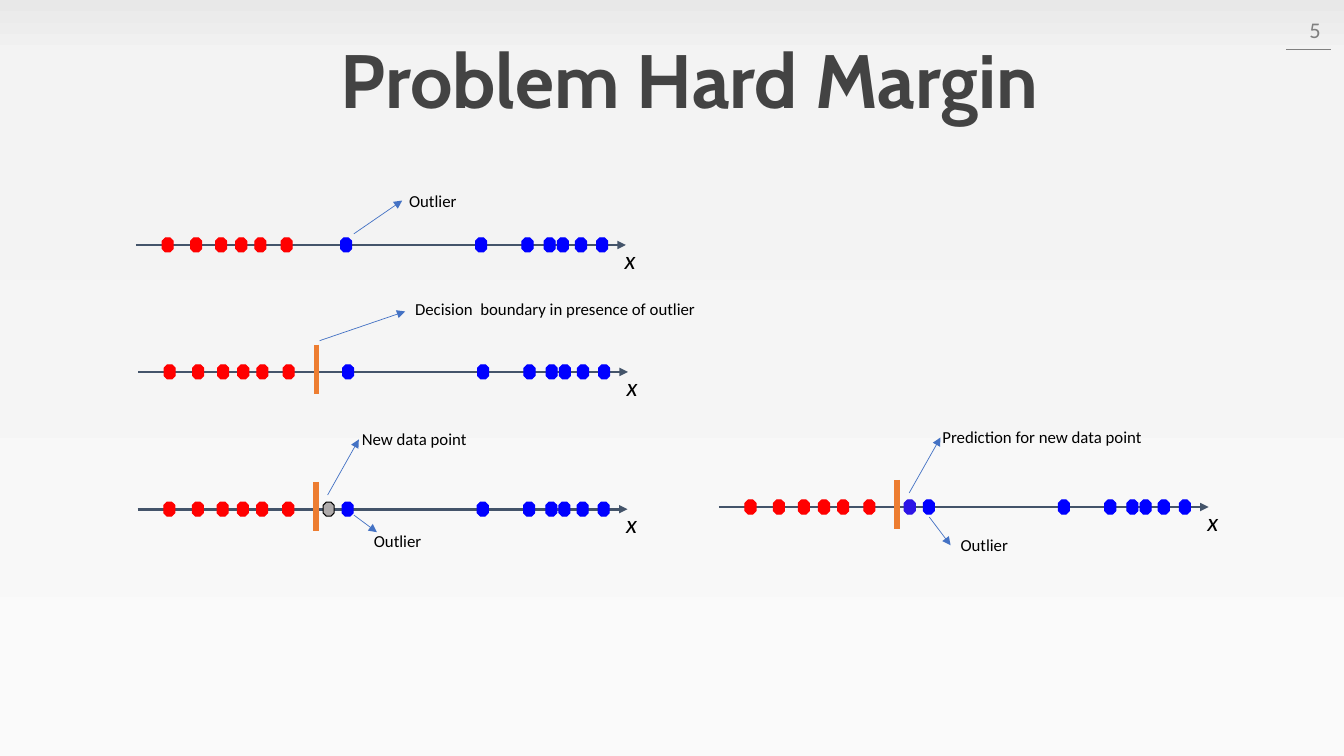
from lxml import etree
from pptx import Presentation
from pptx import util as u
from pptx.dml.color import RGBColor
from pptx.enum import shapes, text
from pptx.oxml.ns import qn

WIDTH, HEIGHT = u.Inches(13.33), u.Inches(7.5)
COLORS = {
    "title": "434343", "muted": "808080", "ink": "000000", "axis": "44546A",
    "red": "FF0000", "blue": "0000FF", "unknown": "AFABAB", "predicted": "2D14E6",
    "boundary": "ED7D31", "callout": "4472C4",
}
BACKDROP = [(0, "FAFAFA"), (84, "F3F3F3"), (94, "F0F0F0"), (100, "E8E8E8")]

# Positions are percentages of the slide; sample offsets start at the axis origin.
RED_SAMPLES = [2.36, 4.48, 6.33, 7.83, 9.26, 11.21]
BLUE_SAMPLES = [15.63, 25.68, 29.13, 30.78, 31.76, 33.11, 34.68]
AXIS_LENGTH, BOUNDARY_AT, NEW_POINT_AT = 36.45, 13.28, 14.21
DOT_WIDTH, DOT_HEIGHT = 0.82, 1.87


def across(share):
    return round(WIDTH * share / 100)


def down(share):
    return round(HEIGHT * share / 100)


def rgb(name):
    return RGBColor.from_string(COLORS[name])


def paint_background(slide):
    fill = slide.background.fill
    fill.gradient()
    fill.gradient_angle = 90
    stops = slide._element.find(".//" + qn("a:gsLst"))
    for stop in list(stops):
        stops.remove(stop)
    for position, color in BACKDROP:
        stop = etree.SubElement(stops, qn("a:gs"), pos=str(position * 1000))
        etree.SubElement(stop, qn("a:srgbClr"), val=color)


def style_font(paragraph, face, size, color, bold=False, italic=False):
    font = paragraph.font
    font.name, font.size = face, u.Pt(size)
    font.bold, font.italic = bold, italic
    font.color.rgb = rgb(color)


def add_title(slide, wording):
    title = slide.shapes.title
    title.left, title.top = across(1.95), down(3.07)
    title.width, title.height = across(100), down(16)
    frame = title.text_frame
    frame.text = wording
    frame.auto_size = text.MSO_AUTO_SIZE.NONE
    frame.vertical_anchor = text.MSO_ANCHOR.MIDDLE
    heading = frame.paragraphs[0]
    heading.alignment = text.PP_ALIGN.CENTER
    heading.line_spacing = 0.9
    style_font(heading, "Cabin", 54, "title", bold=True)


def add_label(slide, wording, x, y, width, height=4, size=12, color="ink", italic=False):
    label = slide.shapes.add_textbox(across(x), down(y), across(width), down(height))
    label.text_frame.word_wrap = True
    label.text_frame.text = wording
    style_font(label.text_frame.paragraphs[0], "Calibri", size, color, italic=italic)
    return label.text_frame


def add_line(slide, start, end, color, weight, arrow=False):
    line = slide.shapes.add_connector(
        shapes.MSO_CONNECTOR.STRAIGHT,
        across(start[0]), down(start[1]), across(end[0]), down(end[1]))
    line.line.color.rgb = rgb(color)
    line.line.width = u.Pt(weight)
    properties = line._element.spPr
    if arrow:
        etree.SubElement(properties.find(qn("a:ln")), qn("a:tailEnd"), type="triangle")
    etree.SubElement(properties, qn("a:effectLst"))


def add_sample(slide, x, y, color, outline=None):
    sample = slide.shapes.add_shape(
        shapes.MSO_SHAPE.OCTAGON, across(x - DOT_WIDTH / 2), down(y - DOT_HEIGHT / 2),
        across(DOT_WIDTH), down(DOT_HEIGHT))
    sample.shadow.inherit = False
    sample.fill.solid()
    sample.fill.fore_color.rgb = rgb(color)
    sample.line.color.rgb = rgb(outline or color)
    sample.line.width = u.Pt(0.75)


def add_number_line(slide, x, y, boundary=False, new_point=None):
    add_line(slide, (x, y), (x + AXIS_LENGTH, y), "axis", 2, arrow=True)
    add_label(slide, "x", x + 35.62, y - 0.8, 4.2, 7.47, size=18, italic=True)
    for color, offsets in (("red", RED_SAMPLES), ("blue", BLUE_SAMPLES)):
        for offset in offsets:
            add_sample(slide, x + offset, y, color)
    if boundary:
        split = x + BOUNDARY_AT
        add_line(slide, (split, y - 3.6), (split, y + 2.93), "boundary", 4.25)
    if new_point:
        add_sample(slide, x + NEW_POINT_AT, y, *new_point)


def add_callout(slide, wording, start, end, label_at, label_width=5.85):
    add_line(slide, start, end, "callout", 0.5, arrow=True)
    add_label(slide, wording, *label_at, label_width)


def add_page_number(slide, number):
    add_line(slide, (95.7, 6.53), (99, 6.53), "muted", 1)
    frame = add_label(slide, number, 94.8, 1.2, 4.2, 5.33, size=16, color="muted")
    frame.vertical_anchor = text.MSO_ANCHOR.MIDDLE
    frame.paragraphs[0].alignment = text.PP_ALIGN.RIGHT


def main():
    deck = Presentation()
    deck.slide_width, deck.slide_height = WIDTH, HEIGHT
    slide = deck.slides.add_slide(deck.slide_layouts[5])
    paint_background(slide)
    add_title(slide, "Problem Hard Margin ")
    add_page_number(slide, "5")

    add_number_line(slide, 10.12, 32.4)
    add_number_line(slide, 10.27, 49.2, boundary=True)
    add_number_line(slide, 10.24, 67.35, boundary=True, new_point=("unknown", "ink"))
    add_number_line(slide, 53.48, 67.07, boundary=True, new_point=("predicted",))

    add_callout(slide, "Outlier", (26.33, 30.93), (29.93, 26.53), (29.7, 24.53))
    add_callout(slide, "Decision  boundary in presence of outlier",
                (23.78, 45.07), (30.15, 41.2), (30.15, 38.8), 28.43)
    add_callout(slide, "New data point",
                (24.38, 65.47), (26.7, 58.13), (26.18, 56), 18.9)
    add_callout(slide, "Prediction for new data point",
                (67.65, 65.2), (69.98, 57.87), (69.38, 55.73), 18.9)
    add_callout(slide, "Outlier", (26.33, 68.13), (28.05, 70.4), (27.08, 69.6))
    add_callout(slide, "Outlier", (69.15, 68.4), (70.73, 72.13), (70.73, 70.13))
    deck.save("out.pptx")


if __name__ == "__main__":
    main()
